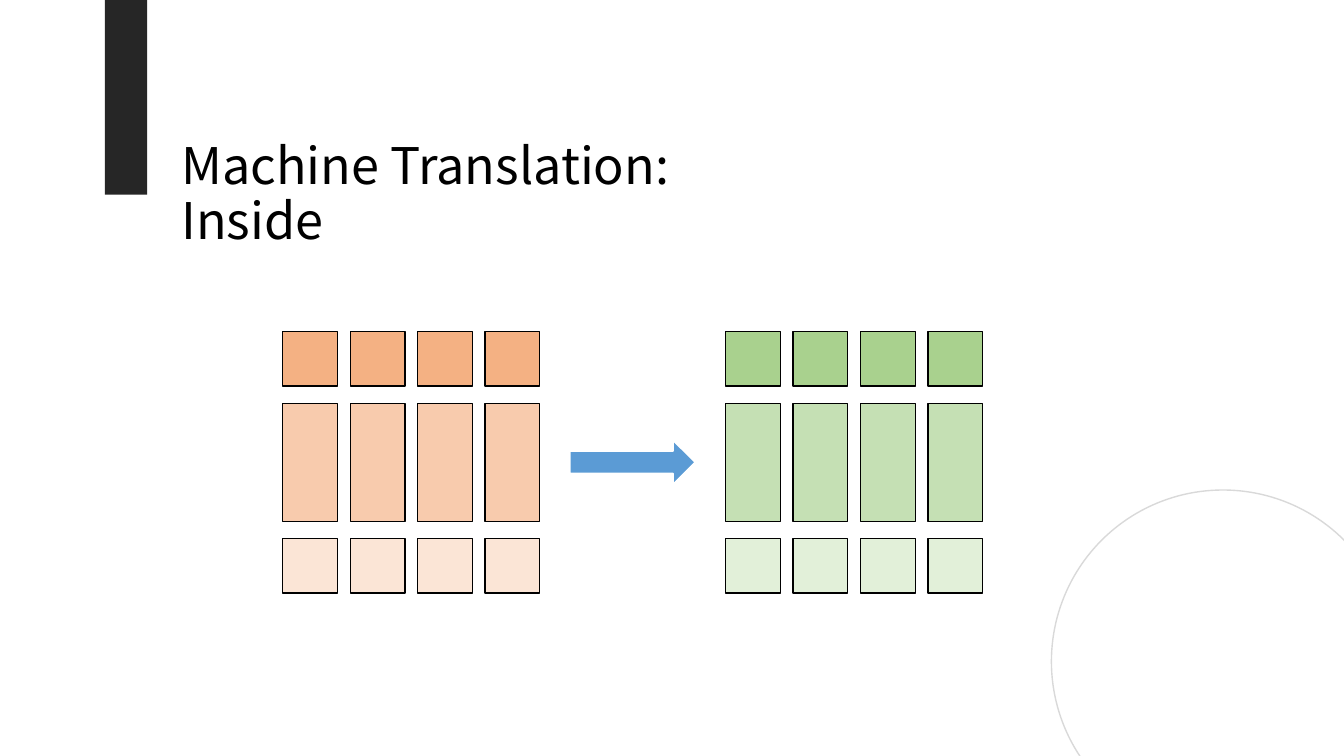
import pptx
import pptx.util
import pptx.dml.color
import pptx.enum.shapes
import pptx.enum.text

Pt = pptx.util.Pt
RGBColor = pptx.dml.color.RGBColor
SHAPE = pptx.enum.shapes.MSO_SHAPE

BLACK = RGBColor(0x00, 0x00, 0x00)
WHITE = RGBColor(0xFF, 0xFF, 0xFF)
CHARCOAL = RGBColor(0x26, 0x26, 0x26)
PALE_GRAY = RGBColor(0xD9, 0xD9, 0xD9)
ARROW_BLUE = RGBColor(0x5B, 0x9B, 0xD5)
SOURCE_ORANGES = (
    RGBColor(0xF4, 0xB1, 0x83),
    RGBColor(0xF8, 0xCB, 0xAD),
    RGBColor(0xFB, 0xE5, 0xD6),
)
TARGET_GREENS = (
    RGBColor(0xA9, 0xD1, 0x8E),
    RGBColor(0xC5, 0xE0, 0xB4),
    RGBColor(0xE2, 0xF0, 0xD9),
)

COLUMNS = 4
COLUMN_STEP = 48.2
CELL_WIDTH = 39
LAYERS = ((236.8, 39), (288, 84.5), (384.6, 39))


def set_format(target, values):
    for name, value in values.items():
        setattr(target, name, value)


def add_figure(slide, kind, left, top, width, height, fill=None, line=None, line_width=1):
    figure = slide.shapes.add_shape(kind, Pt(left), Pt(top), Pt(width), Pt(height))
    figure.shadow.inherit = False
    if fill is None:
        figure.fill.background()
    else:
        figure.fill.solid()
        figure.fill.fore_color.rgb = fill
    if line is None:
        figure.line.fill.background()
    else:
        figure.line.color.rgb = line
        figure.line.width = Pt(line_width)


def add_layer_stack(slide, left, colors):
    for (top, height), color in zip(LAYERS, colors):
        for column in range(COLUMNS):
            add_figure(slide, SHAPE.RECTANGLE, left + column * COLUMN_STEP, top,
                       CELL_WIDTH, height, color, BLACK)


def fill_title(slide, text):
    title = slide.shapes.title
    set_format(title, {"left": Pt(122.4), "top": Pt(97.2),
                       "width": Pt(396), "height": Pt(51)})
    frame = title.text_frame
    frame.text = text
    set_format(frame, {
        "word_wrap": True,
        "auto_size": pptx.enum.text.MSO_AUTO_SIZE.SHAPE_TO_FIT_TEXT,
        "vertical_anchor": pptx.enum.text.MSO_ANCHOR.TOP,
    })
    paragraph = frame.paragraphs[0]
    set_format(paragraph, {"alignment": pptx.enum.text.PP_ALIGN.LEFT, "line_spacing": 0.9})
    run = paragraph.runs[0]
    set_format(run.font, {"name": "Noto Sans CJK JP", "size": Pt(36)})
    run.font.color.rgb = BLACK


def main():
    presentation = pptx.Presentation()
    set_format(presentation, {"slide_width": Pt(960), "slide_height": Pt(540)})
    slide = presentation.slides.add_slide(presentation.slide_layouts[5])

    add_figure(slide, SHAPE.OVAL, 751, 350, 245, 245, line=PALE_GRAY)
    add_figure(slide, SHAPE.RECTANGLE, 74.9, 0, 30.2, 139, CHARCOAL)
    fill_title(slide, "Machine Translation: Inside")
    add_layer_stack(slide, 202, SOURCE_ORANGES)
    add_layer_stack(slide, 518.4, TARGET_GREENS)
    add_figure(slide, SHAPE.RIGHT_ARROW, 406.8, 314, 90, 32.4, ARROW_BLUE, WHITE, 1.5)

    presentation.save("out.pptx")


if __name__ == "__main__":
    main()
